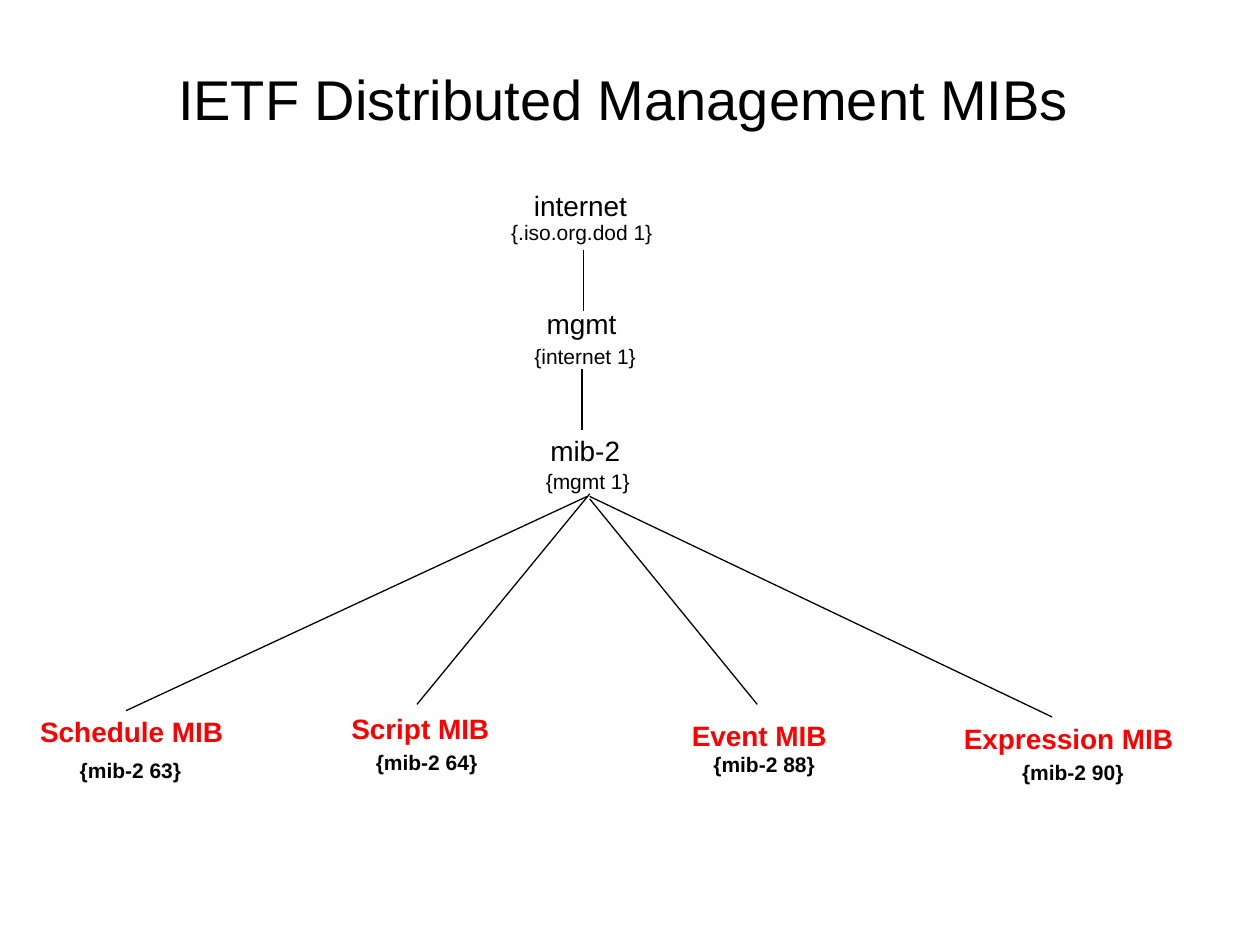
from pptx import Presentation
from pptx.dml.color import RGBColor
from pptx.enum.shapes import MSO_CONNECTOR
from pptx.enum.text import MSO_ANCHOR, MSO_AUTO_SIZE, PP_ALIGN
from pptx.oxml.ns import qn
from pptx.util import Pt
from lxml import etree

BLACK, RED = "000000", "FF0000"


def color(value):
    return RGBColor.from_string(value)


class TreeSlide:
    """Holds the text style and the slide being drawn."""
    font = "Arial"
    title_size, name_size, id_size = 32, 16, 12
    name_height, id_height = 26.6, 21.6

    def __init__(self, slide):
        self.slide = slide

    def add_words(self, frame, words, size, ink=BLACK, bold=False, align=PP_ALIGN.CENTER):
        paragraph = frame.paragraphs[0]
        paragraph.alignment = align
        run = paragraph.add_run()
        run.text = words
        run.font.name, run.font.size, run.font.bold = self.font, Pt(size), bold
        run.font.color.rgb = color(ink)

    def title(self, words, left, top, width, height):
        heading = self.slide.shapes.title
        heading.left, heading.top = Pt(left), Pt(top)
        heading.width, heading.height = Pt(width), Pt(height)
        heading.text_frame.vertical_anchor = MSO_ANCHOR.MIDDLE
        self.add_words(heading.text_frame, words, self.title_size)

    def label(self, words, place, height, size, **style):
        left, top, width = place
        box = self.slide.shapes.add_textbox(Pt(left), Pt(top), Pt(width), Pt(height))
        box.text_frame.word_wrap = False
        box.text_frame.auto_size = MSO_AUTO_SIZE.SHAPE_TO_FIT_TEXT
        self.add_words(box.text_frame, words, size, **style)

    def node(self, name, name_place, oid, id_place, ink=BLACK, bold=False,
             align=PP_ALIGN.CENTER):
        self.label(name, name_place, self.name_height, self.name_size,
                   ink=ink, bold=bold, align=align)
        self.label(oid, id_place, self.id_height, self.id_size, bold=bold)

    def branch(self, x1, y1, x2, y2):
        line = self.slide.shapes.add_connector(
            MSO_CONNECTOR.STRAIGHT, Pt(x1), Pt(y1), Pt(x2), Pt(y2))
        line.line.color.rgb = color(BLACK)
        line.line.width = Pt(0.75)
        etree.SubElement(line._element.spPr, qn("a:effectLst"))


deck = Presentation()
deck.slide_width, deck.slide_height = Pt(720), Pt(540)
tree = TreeSlide(deck.slides.add_slide(deck.slide_layouts[5]))
tree.title("IETF Distributed Management MIBs", 32.4, 10.8, 648, 90)

# Branches: the trunk, then the fan below mib-2
branches = [
    (333.4, 142.6, 333.4, 177.8),
    (332.6, 211, 332.6, 245.5),
    (335.5, 283.7, 72, 406.1),
    (337, 282.2, 238.3, 402.5),
    (337, 285.1, 432.7, 402.5),
    (337, 283.7, 601.2, 409.7),
]
for ends in branches:
    tree.branch(*ends)

# Trunk nodes: name and identifier, each with left, top, width
trunk = [
    ("internet", (298, 104.4, 67.7), "{.iso.org.dod 1}", (285, 121.7, 95)),
    ("mgmt", (305.3, 171.4, 54.7), "{internet 1}", (298, 193, 72.7)),
    ("mib-2", (307.4, 244, 54.7), "{mgmt 1}", (304.6, 264.2, 62.6)),
]
for entry in trunk:
    tree.node(*entry, align=PP_ALIGN.LEFT)

# Distributed management MIBs
mibs = [
    ("Schedule", (14.4, 404.6, 121.7), 63, (38.2, 429.1)),
    ("Script", (193, 403.2, 94.3), 64, (207.4, 424.8)),
    ("Event", (387.4, 406.8, 92.9), 88, (400.3, 426.2)),
    ("Expression", (542.9, 409, 135.4), 90, (576.7, 430.6)),
]
for name, name_place, number, id_corner in mibs:
    tree.node(f"{name} MIB", name_place, f"{{mib-2 {number}}}", (*id_corner, 72.7),
              ink=RED, bold=True)

deck.save("out.pptx")
